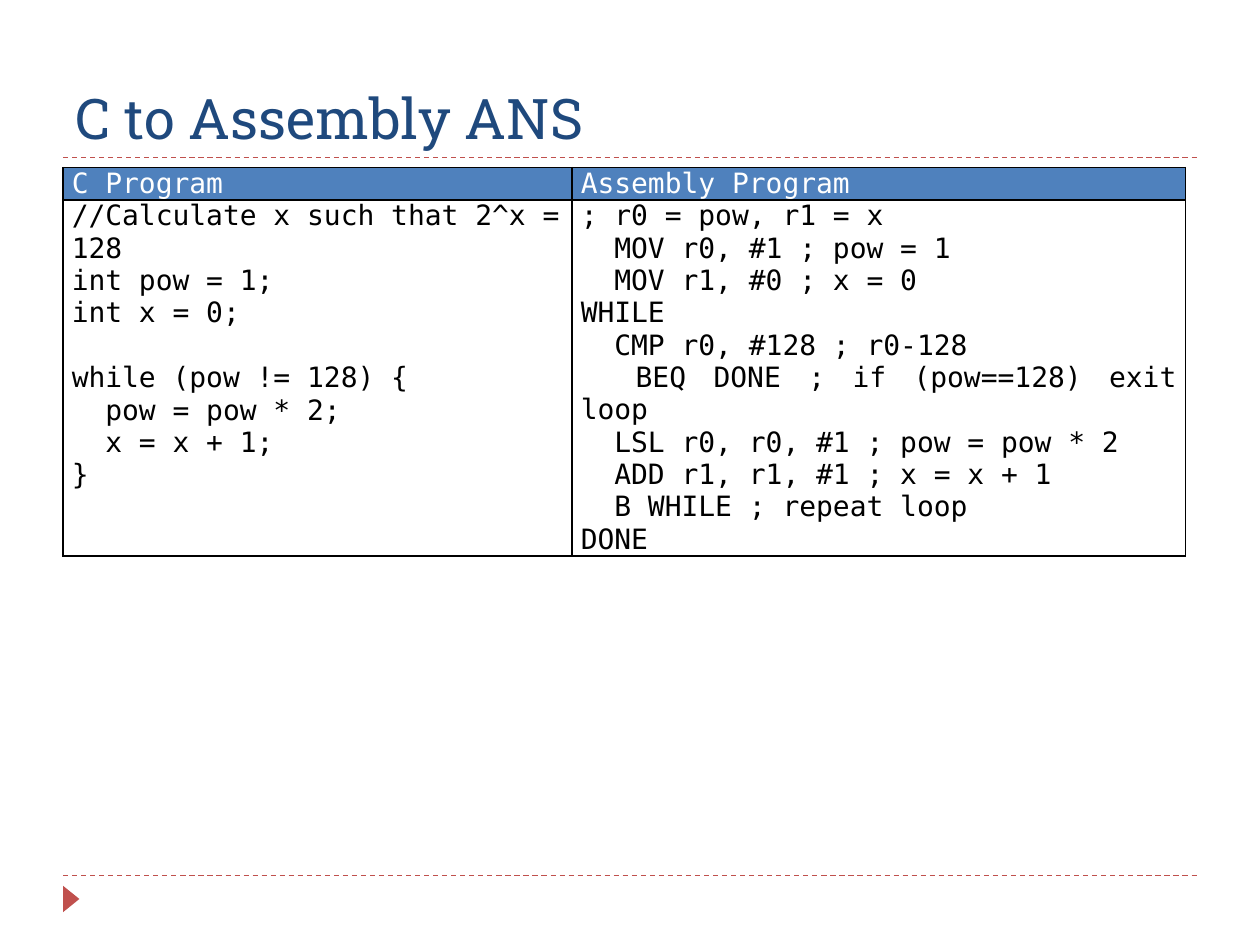
from lxml.etree import SubElement
from pptx import Presentation
from pptx.dml.color import RGBColor
from pptx.enum.dml import MSO_LINE
from pptx.enum.shapes import MSO_CONNECTOR, MSO_SHAPE
from pptx.enum.text import MSO_ANCHOR, PP_ALIGN
from pptx.oxml import parse_xml
from pptx.oxml.ns import nsdecls, qn
from pptx.util import Inches, Pt

NAVY = RGBColor(0x1F, 0x49, 0x7D)
BLUE = RGBColor(0x4F, 0x81, 0xBD)
RED = RGBColor(0xC0, 0x50, 0x4D)
WHITE = RGBColor(0xFF, 0xFF, 0xFF)
BLACK = RGBColor(0, 0, 0)
SLAB = "Roboto Slab"
MONO = "DejaVu Sans Mono"
CODE_SIZE = 16
LINE_GAP = Pt(18.6)  # one line of code

C_CODE = [
    "//Calculate x such that 2^x = 128",
    "int pow = 1;",
    "int x = 0;",
    "while (pow != 128) {",
    "  pow = pow * 2;",
    "  x = x + 1;",
    "}",
]
ASM_CODE = [
    "; r0 = pow, r1 = x",
    "  MOV r0, #1 ; pow = 1",
    "  MOV r1, #0 ; x = 0",
    "WHILE",
    "  CMP r0, #128 ; r0-128",
    "  BEQ DONE ; if (pow==128) exit loop",
    "  LSL r0, r0, #1 ; pow = pow * 2",
    "  ADD r1, r1, #1 ; x = x + 1",
    "  B WHILE ; repeat loop",
    "DONE",
]


def add_run(para, text, font, size, color):
    run = para.add_run()
    run.text = text
    run.font.name = font
    run.font.size = Pt(size)
    run.font.bold = False
    run.font.color.rgb = color


def set_title(slide, text):
    title = slide.shapes.title
    title.left, title.top = Inches(0.5), Inches(0.17)
    title.width, title.height = Inches(9), Inches(1.08)
    frame = title.text_frame
    frame.vertical_anchor = MSO_ANCHOR.BOTTOM
    para = frame.paragraphs[0]
    para.alignment = PP_ALIGN.LEFT
    add_run(para, text, SLAB, 32, NAVY)


def add_rule(slide, y):
    rule = slide.shapes.add_connector(
        MSO_CONNECTOR.STRAIGHT, Inches(0.5), Inches(y), Inches(9.5), Inches(y))
    rule.line.color.rgb = RED
    rule.line.width = Pt(0.75)
    rule.line.dash_style = MSO_LINE.DASH
    SubElement(rule._element.spPr, qn("a:effectLst"))


def add_mark(slide):
    mark = slide.shapes.add_shape(
        MSO_SHAPE.ISOSCELES_TRIANGLE,
        Inches(0.46), Inches(7.07), Inches(0.21), Inches(0.13))
    mark.rotation = 90
    mark.shadow.inherit = False
    mark.fill.solid()
    mark.fill.fore_color.rgb = RED
    mark.line.fill.background()


def add_border(cell):
    props = cell._tc.get_or_add_tcPr()
    for side in "LRTB":
        props.append(parse_xml(
            f'<a:ln{side} {nsdecls("a")} w="{Pt(1)}"><a:solidFill>'
            f'<a:srgbClr val="{BLACK}"/></a:solidFill></a:ln{side}>'))


def fill_cell(cell, lines, color, align, back=None):
    cell.margin_left = cell.margin_right = Inches(0.07)
    cell.margin_top = cell.margin_bottom = 0
    add_border(cell)
    if back is None:
        cell.fill.background()
    else:
        cell.fill.solid()
        cell.fill.fore_color.rgb = back
    frame = cell.text_frame
    for i, line in enumerate(lines):
        para = frame.add_paragraph() if i else frame.paragraphs[0]
        para.alignment = align
        if line.startswith("while"):
            para.space_before = LINE_GAP  # sets the loop apart
        add_run(para, line, MONO, CODE_SIZE, color)


def add_code(slide):
    table = slide.shapes.add_table(
        2, 2, Inches(0.5), Inches(1.33), Inches(8.91), Inches(2.93)).table
    table.horz_banding = False
    for col, width in zip(table.columns, (4.04, 4.87)):
        col.width = Inches(width)
    for row, height in zip(table.rows, (0.24, 2.69)):
        row.height = Inches(height)
    parts = [("C Program", C_CODE, PP_ALIGN.LEFT),
             ("Assembly Program", ASM_CODE, PP_ALIGN.JUSTIFY)]
    for i, (head, code, align) in enumerate(parts):
        fill_cell(table.cell(0, i), [head], WHITE, PP_ALIGN.JUSTIFY, BLUE)
        fill_cell(table.cell(1, i), code, BLACK, align)


def main():
    deck = Presentation()
    deck.slide_width, deck.slide_height = Inches(10), Inches(7.5)
    slide = deck.slides.add_slide(deck.slide_layouts[5])
    # Frame: rules and corner mark
    for y in (6.95, 1.25):
        add_rule(slide, y)
    add_mark(slide)
    # Content
    set_title(slide, "C to Assembly ANS")
    add_code(slide)
    deck.save("out.pptx")


if __name__ == "__main__":
    main()
